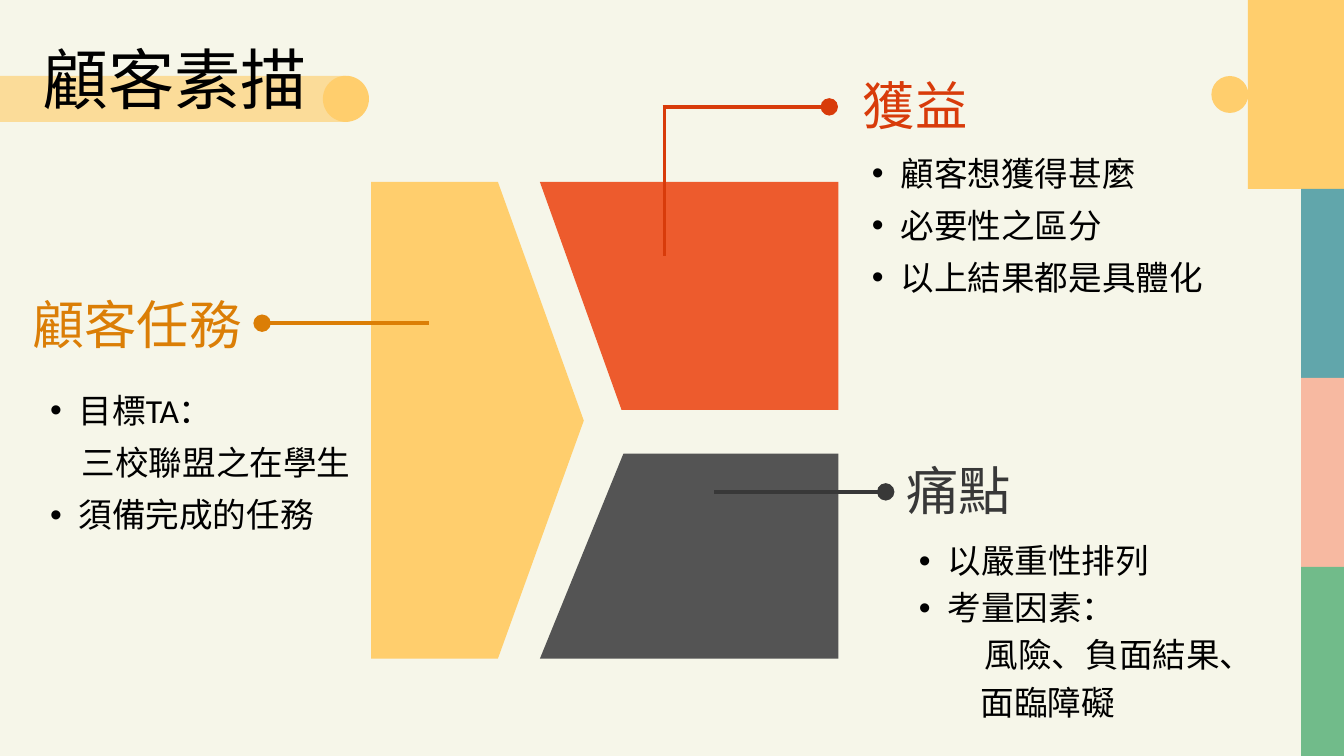
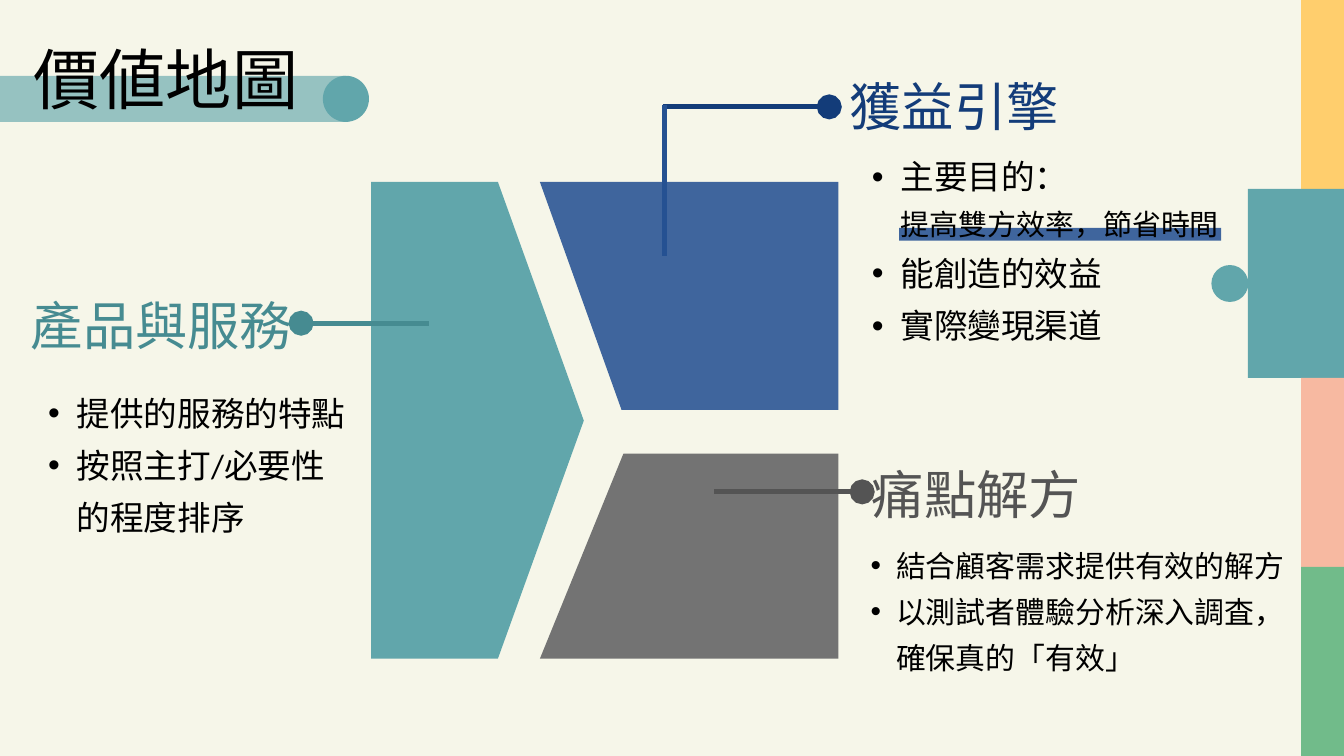
"""Builds the customer profile and value map slides."""
from lxml import etree
from pptx import Presentation
from pptx.dml.color import RGBColor
from pptx.enum.shapes import MSO_CONNECTOR, MSO_SHAPE
from pptx.enum.text import MSO_ANCHOR, MSO_AUTO_SIZE, PP_ALIGN
from pptx.oxml.ns import qn
from pptx.util import Pt

RECT, OVAL = MSO_SHAPE.RECTANGLE, MSO_SHAPE.OVAL
STRAIGHT = MSO_CONNECTOR.STRAIGHT
TOP, NO_FIT = MSO_ANCHOR.TOP, MSO_AUTO_SIZE.NONE
LEFT, CENTER = PP_ALIGN.LEFT, PP_ALIGN.CENTER

CREAM = RGBColor(0xF6, 0xF6, 0xE9)
BLACK = RGBColor(0, 0, 0)
YELLOW = RGBColor(0xFF, 0xCE, 0x6D)
TEAL = RGBColor(0x61, 0xA6, 0xAB)
PINK = RGBColor(0xF7, 0xB9, 0xA1)
GREEN = RGBColor(0x71, 0xBB, 0x8A)
ORANGE = RGBColor(0xED, 0x5B, 0x2D)
RED = RGBColor(0xD8, 0x3B, 0x0A)
AMBER = RGBColor(0xDB, 0x7E, 0x06)
CHARCOAL = RGBColor(0x38, 0x38, 0x38)
DARK_GRAY = RGBColor(0x54, 0x54, 0x54)
GRAY = RGBColor(0x73, 0x73, 0x73)
BLUE = RGBColor(0x3F, 0x65, 0x9D)
MID_BLUE = RGBColor(0x25, 0x51, 0x92)
NAVY = RGBColor(0x13, 0x3C, 0x79)
DEEP_TEAL = RGBColor(0x46, 0x8B, 0x91)

FONT = "Calibri"
WIDTH, HEIGHT = 1440, 810
TABS = [YELLOW, TEAL, PINK, GREEN]
TAB_X, ACTIVE_X, TAB_W, TAB_DOT = 1394, 1337, 436.3, 39.6
BAND_Y, BAND_H, BAND_END = 81.2, 49.4, 370.6

PANELS = [
    [(397.5, 195), (533.5, 195), (625.5, 450.7), (533.5, 705.7), (397.5, 705.7)],
    [(578.5, 195), (898.3, 195), (898.3, 439.2), (666, 439.2)],
    [(668, 486), (898.3, 486), (898.3, 705.7), (578.5, 705.7)],
]

# A list item is text with a bullet, or (text, indent, size, line spacing) without one.
SLIDES = [
    dict(
        title="顧客素描", title_x=25.9, active=0, line_width=3.75,
        panels=[YELLOW, ORANGE, DARK_GRAY], drop=RED, marker=None,
        callouts=[
            dict(heading="顧客任務", color=AMBER, box=(23, 311, 247.7, 71.3), dot_x=280.8,
                 list_box=(23, 405.4, 434, 165.6), size=36, spacing=55.8, indent=61.2,
                 items=["目標TA：", ("三校聯盟之在學生", 64.5, 36, 55.8), "須備完成的任務"]),
            dict(heading="獲益", color=RED, box=(902.9, 76.3, 155.5, 71.3), dot_x=888.5,
                 list_box=(903.6, 151.2, 416, 165.6), size=36, spacing=55.8, indent=61.2,
                 items=["顧客想獲得甚麼", "必要性之區分", "以上結果都是具體化"]),
            dict(heading="痛點", color=CHARCOAL, box=(954, 489.6, 146.2, 71.3), dot_x=949,
                 list_box=(954, 571.7, 418.3, 202.3), size=36, spacing=50.4, indent=61.2,
                 items=["以嚴重性排列", "考量因素：", ("風險、負面結果、", 101, 36, 50.4),
                        ("面臨障礙", 96.5, 36, 50.4)]),
        ]),
    dict(
        title="價値地圖", title_x=16.6, active=1, line_width=5.38,
        panels=[TEAL, BLUE, GRAY], drop=MID_BLUE, marker=(963.4, 244.1, 344.9, 13.7),
        callouts=[
            dict(heading="產品與服務", color=DEEP_TEAL, box=(23, 312.5, 300.2, 69.8), dot_x=322.6,
                 list_box=(20.9, 408.2, 355, 162.7), size=36, spacing=55.8, indent=61.2,
                 items=["提供的服務的特點", "按照主打/必要性的程度排序"]),
            dict(heading="獲益引擎", color=NAVY, box=(902.5, 77.8, 239.8, 69.8), dot_x=888.5,
                 list_box=(903.6, 154.8, 416, 211), size=36, spacing=55.8, indent=61.2,
                 items=["主要目的：", ("提高雙方效率，節省時間", 61.5, 31, 48),
                        "能創造的效益", "實際變現渠道"]),
            dict(heading="痛點解方", color=DARK_GRAY, box=(923.8, 493.9, 244.8, 69.8), dot_x=923.8,
                 list_box=(905.4, 575.3, 473.8, 151.2), size=32, spacing=49.6, indent=54.7,
                 items=["結合顧客需求提供有效的解方", "以測試者體驗分析深入調査，確保真的「有效」"]),
        ]),
]
LINE_STARTS = [(459.4, 346.3), (710, 114.5), (765.4, 527)]
DROP = (711.7, 112.3, 711.7, 274.3)


def paint(sp, color, alpha=None):
    """Give a shape a plain fill without outline or shadow."""
    sp.shadow.inherit = False
    sp.fill.solid()
    sp.fill.fore_color.rgb = color
    sp.line.fill.background()
    if alpha:
        clr = sp.fill._xPr.find(".//" + qn("a:srgbClr"))
        etree.SubElement(clr, qn("a:alpha"), val=str(alpha * 1000))


def add_preset(slide, kind, box, color, alpha=None):
    """Add a filled preset shape."""
    paint(slide.shapes.add_shape(kind, *map(Pt, box)), color, alpha)


def add_panel(slide, points, color):
    """Add a filled polygon."""
    pts = [(Pt(x), Pt(y)) for x, y in points]
    fb = slide.shapes.build_freeform(*pts[0])
    fb.add_line_segments(pts[1:], close=True)
    paint(fb.convert_to_shape(), color)


def add_line(slide, ends, color, width, dot=False):
    """Add a straight line, optionally ending in a dot."""
    cn = slide.shapes.add_connector(STRAIGHT, *map(Pt, ends))
    cn.line.color.rgb = color
    cn.line.width = Pt(width)
    if dot:
        etree.SubElement(cn.line._get_or_add_ln(), qn("a:tailEnd"), type="oval", w="lg", len="lg")
    etree.SubElement(cn._element.spPr, qn("a:effectLst"))


def style_paragraph(p, size, spacing, color, align, indent=0, bullet=False):
    """Format a paragraph and its runs."""
    pPr = p._p.get_or_add_pPr()
    pPr.set("marL", str(Pt(indent)))
    pPr.set("indent", str(-Pt(indent / 2) if bullet else 0))
    if bullet:
        etree.SubElement(pPr, qn("a:buFont"), typeface="Arial")
        etree.SubElement(pPr, qn("a:buChar"), char="•")
    else:
        etree.SubElement(pPr, qn("a:buNone"))
    p.alignment = align
    p.line_spacing = Pt(spacing)
    p.space_before = p.space_after = Pt(0)
    for r in p.runs:
        r.font.name, r.font.size, r.font.bold = FONT, Pt(size), False
        r.font.color.rgb = color


def place_text(slide, sp, box, lines):
    """Move a text holder to the front and fill it with its text."""
    slide.shapes._spTree.append(sp._element)
    sp.left, sp.top, sp.width, sp.height = map(Pt, box)
    tf = sp.text_frame
    tf.word_wrap, tf.auto_size, tf.vertical_anchor = True, NO_FIT, TOP
    tf.margin_left = tf.margin_top = tf.margin_right = tf.margin_bottom = 0
    tf.text = "\n".join(text for text, _ in lines)
    for p, (_, style) in zip(tf.paragraphs, lines):
        style_paragraph(p, *style)


def list_lines(callout):
    """Pair every list item with its paragraph style."""
    lines = []
    for item in callout["items"]:
        if isinstance(item, str):
            style = (callout["size"], callout["spacing"], BLACK, LEFT, callout["indent"], True)
            lines.append((item, style))
        else:
            text, indent, size, spacing = item
            lines.append((text, (size, spacing, BLACK, LEFT, indent)))
    return lines


def add_frame(slide, active):
    """Draw the side tabs and the title band in the active colour."""
    tab_h = HEIGHT / len(TABS)
    for i, color in enumerate(TABS):
        x = ACTIVE_X if i == active else TAB_X
        add_preset(slide, RECT, (x, i * tab_h, TAB_W, tab_h), color)
    color = TABS[active]
    dot_y = (active + 0.5) * tab_h - TAB_DOT / 2
    add_preset(slide, OVAL, (ACTIVE_X + 0.5 - TAB_DOT, dot_y, TAB_DOT, TAB_DOT), color)
    add_preset(slide, RECT, (0, BAND_Y, BAND_END, BAND_H), color, 64)
    add_preset(slide, OVAL, (BAND_END - BAND_H / 2, BAND_Y, BAND_H, BAND_H), color)


def build_slide(prs, data):
    """Build one slide from its content."""
    slide = prs.slides.add_slide(prs.slide_layouts.get_by_name("Comparison"))
    title, *holders = slide.placeholders
    holders += [slide.shapes.add_textbox(0, 0, 0, 0) for _ in range(2)]
    add_frame(slide, data["active"])
    for points, color in zip(PANELS, data["panels"]):
        add_panel(slide, points, color)
    if data["marker"]:
        add_preset(slide, RECT, data["marker"], data["panels"][1])
    place_text(slide, title, (data["title_x"], 38.9, 322.6, 139.7),
               [(data["title"], (70.9, 87.2, BLACK, CENTER))])
    for i, (callout, (x, y)) in enumerate(zip(data["callouts"], LINE_STARTS)):
        color = callout["color"]
        add_line(slide, (x, y, callout["dot_x"], y), color, data["line_width"], dot=True)
        heading, body = holders[2 * i:2 * i + 2]
        place_text(slide, heading, callout["box"],
                   [(callout["heading"], (56, 68.9, color, CENTER))])
        place_text(slide, body, callout["list_box"], list_lines(callout))
    add_line(slide, DROP, data["drop"], data["line_width"])


def main():
    """Create the presentation."""
    prs = Presentation()
    prs.slide_width, prs.slide_height = Pt(WIDTH), Pt(HEIGHT)
    fill = prs.slide_master.background.fill
    fill.solid()
    fill.fore_color.rgb = CREAM
    for data in SLIDES:
        build_slide(prs, data)
    prs.save("out.pptx")


if __name__ == "__main__":
    main()
